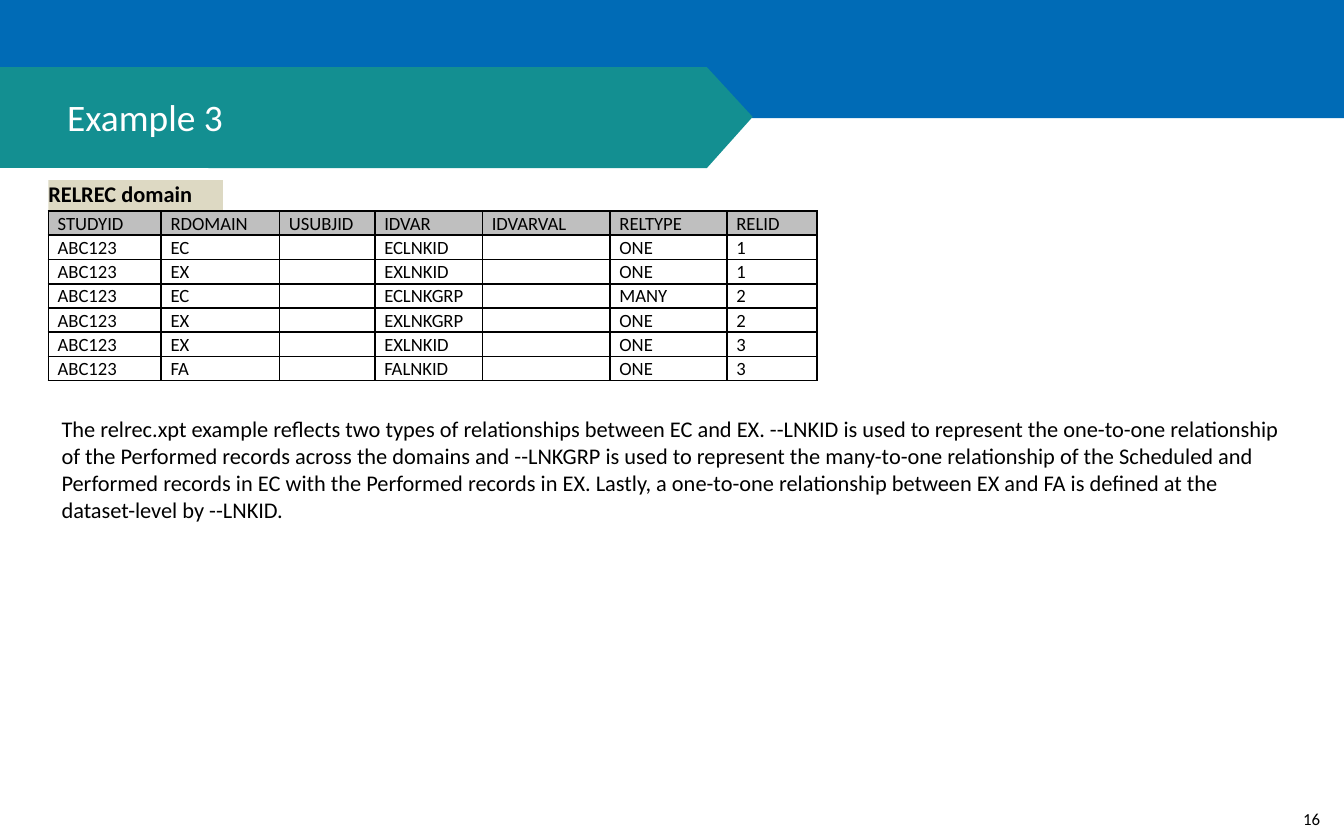
from dataclasses import dataclass

from pptx import Presentation
from pptx import util as u
from pptx.dml import color
from pptx.enum import shapes, text
from pptx.oxml import ns
from lxml import etree


@dataclass(frozen=True)
class Theme:
    font: str = "Calibri"
    blue: str = "006BB6"
    teal: str = "138F91"
    sand: str = "DDD9C3"
    gray: str = "BFBFBF"
    black: str = "000000"
    white: str = "FFFFFF"
    title_size: int = 20
    body_size: int = 12
    table_size: int = 10
    number_size: int = 9


THEME = Theme()
COLUMN_WIDTHS = [0.84, 0.88, 0.71, 0.8, 0.95, 0.87, 0.67]
ROW_HEIGHT = 0.17
HEADERS = ["STUDYID", "RDOMAIN", "USUBJID", "IDVAR", "IDVARVAL", "RELTYPE", "RELID"]
RELATIONS = [
    ("EC", "ECLNKID", "ONE", "1"),
    ("EX", "EXLNKID", "ONE", "1"),
    ("EC", "ECLNKGRP", "MANY", "2"),
    ("EX", "EXLNKGRP", "ONE", "2"),
    ("EX", "EXLNKID", "ONE", "3"),
    ("FA", "FALNKID", "ONE", "3"),
]
EXPLANATION = (
    "The relrec.xpt example reflects two types of relationships between EC and EX. "
    "--LNKID is used to represent the one-to-one relationship of the Performed records "
    "across the domains and --LNKGRP is used to represent the many-to-one relationship "
    "of the Scheduled and Performed records in EC with the Performed records in EX. "
    "Lastly, a one-to-one relationship between EX and FA is defined at the "
    "dataset-level by --LNKID."
)


def rgb(value):
    return color.RGBColor.from_string(value)


def paint(shape, fill):
    shape.shadow.inherit = False
    shape.fill.solid()
    shape.fill.fore_color.rgb = rgb(fill)
    shape.line.fill.background()


def add_block(page, place, fill):
    block = page.shapes.add_shape(
        shapes.MSO_SHAPE.RECTANGLE, *[u.Inches(value) for value in place])
    paint(block, fill)
    return block


def add_banner_tip(page):
    points = [(u.Inches(x), u.Inches(y)) for x, y in
              [(5.26, 0.5), (5.6, 0.87), (5.26, 1.25), (1.55, 1.25), (1.55, 0.5)]]
    builder = page.shapes.build_freeform(*points[0])
    builder.add_line_segments(points[1:], close=True)
    paint(builder.convert_to_shape(), THEME.teal)


def write(box, words, size, ink=THEME.black, bold=False, insets=(0.1, 0.05, 0.1, 0.05),
          align=text.PP_ALIGN.LEFT, anchor=text.MSO_ANCHOR.TOP):
    frame = box.text_frame
    frame.text = words
    frame.word_wrap = True
    frame.auto_size = text.MSO_AUTO_SIZE.NONE
    frame.vertical_anchor = anchor
    (frame.margin_left, frame.margin_top,
     frame.margin_right, frame.margin_bottom) = [u.Inches(inset) for inset in insets]
    para = frame.paragraphs[0]
    para.alignment = align
    style(para.runs[0].font, size, ink, bold)


def style(font, size, ink, bold=False):
    font.name = THEME.font
    font.size = u.Pt(size)
    font.bold = bold
    font.color.rgb = rgb(ink)


def add_text(page, place, words, size, **options):
    box = page.shapes.add_textbox(*[u.Inches(value) for value in place])
    write(box, words, size, **options)


def place_title(page, words):
    title = page.shapes.title
    title.left, title.top = u.Inches(0), u.Inches(0.49)
    title.width, title.height = u.Inches(5.6), u.Inches(0.75)
    write(title, words, THEME.title_size, ink=THEME.white,
          insets=(0.5, 0, 0, 0), anchor=text.MSO_ANCHOR.MIDDLE)
    page.shapes._spTree.append(title._element)


def add_borders(cell):
    properties = cell._tc.get_or_add_tcPr()
    for index, side in enumerate(("lnL", "lnR", "lnT", "lnB")):
        line = etree.Element(ns.qn(f"a:{side}"), w=str(u.Pt(1)))
        solid = etree.SubElement(line, ns.qn("a:solidFill"))
        etree.SubElement(solid, ns.qn("a:srgbClr"), val=THEME.black)
        properties.insert(index, line)


def fill_cell(cell, words, header):
    cell.margin_left = cell.margin_right = u.Inches(0.07)
    cell.margin_top = cell.margin_bottom = 0
    if header:
        cell.fill.solid()
        cell.fill.fore_color.rgb = rgb(THEME.gray)
    else:
        cell.fill.background()
    para = cell.text_frame.paragraphs[0]
    para.text = words
    para.line_spacing = 1.07
    for span in para.runs:
        style(span.font, THEME.table_size, THEME.black)
    if not words:
        para._p.get_or_add_endParaRPr().set("sz", str(THEME.table_size * 100))
    add_borders(cell)


def add_relations_table(page):
    records = [HEADERS] + [
        ["ABC123", domain, "", variable, "", kind, number]
        for domain, variable, kind, number in RELATIONS]
    table = page.shapes.add_table(
        len(records), len(HEADERS), u.Inches(0.36), u.Inches(1.57),
        u.Inches(sum(COLUMN_WIDTHS)), u.Inches(ROW_HEIGHT * len(records))).table
    table.horz_banding = False
    for column, width in zip(table.columns, COLUMN_WIDTHS):
        column.width = u.Inches(width)
    for index, record in enumerate(records):
        table.rows[index].height = u.Inches(ROW_HEIGHT)
        for cell, words in zip(table.rows[index].cells, record):
            fill_cell(cell, words, header=index == 0)


def main():
    deck = Presentation()
    deck.slide_width, deck.slide_height = u.Inches(10), u.Inches(6.25)
    page = deck.slides.add_slide(deck.slide_layouts[5])
    add_block(page, (0, 0, 10, 0.88), THEME.blue)
    add_block(page, (0, 0.5, 2.46, 0.75), THEME.teal)
    add_banner_tip(page)
    add_text(page, (9.56, 5.97, 0.4, 0.25), "16", THEME.number_size,
             insets=(0, 0.05, 0, 0.05), align=text.PP_ALIGN.CENTER)
    label = add_block(page, (0.36, 1.34, 1.3, 0.28), THEME.sand)
    write(label, "RELREC domain", THEME.body_size, bold=True, insets=(0, 0, 0.1, 0.05))
    place_title(page, "Example 3")
    add_text(page, (0.36, 3.04, 9.34, 0.91), EXPLANATION, THEME.body_size)
    add_relations_table(page)
    deck.save("out.pptx")


if __name__ == "__main__":
    main()
